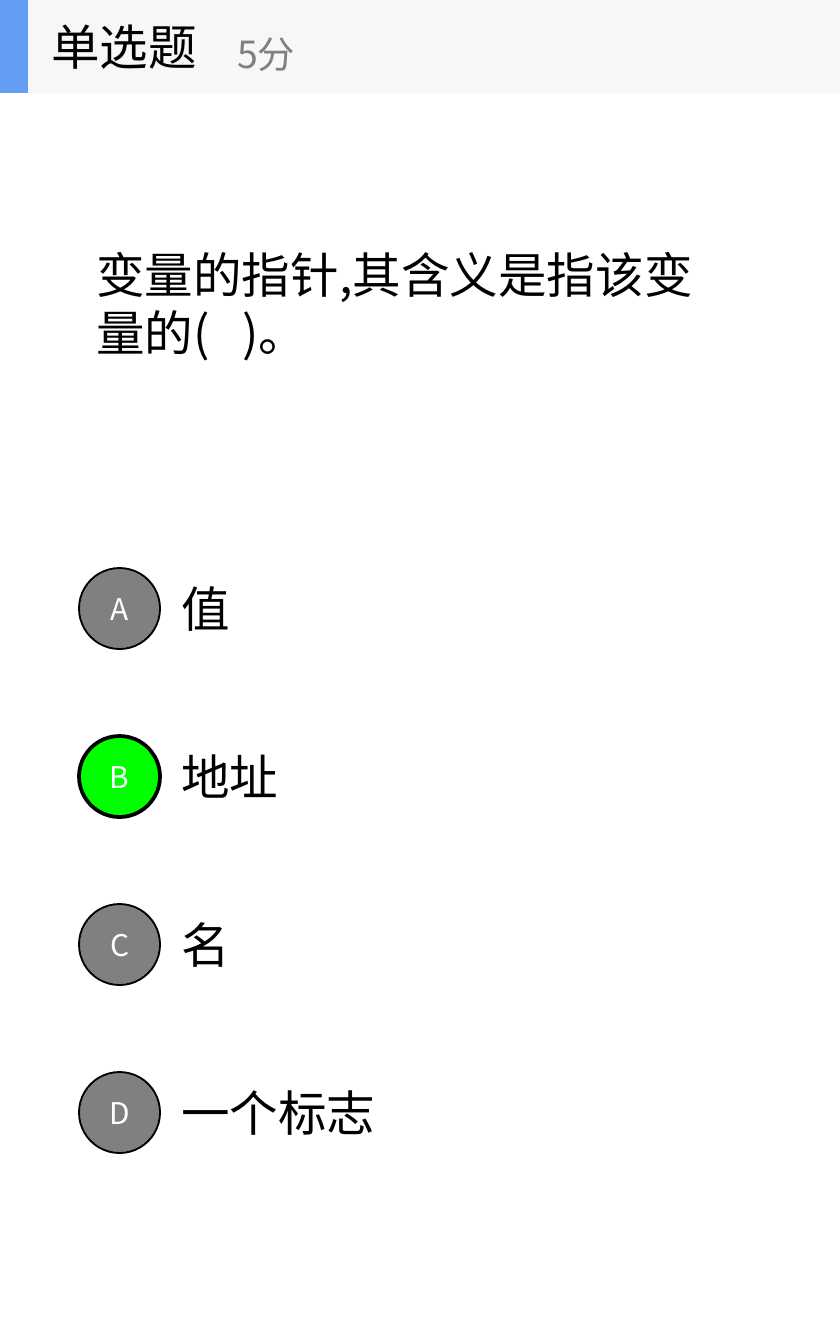
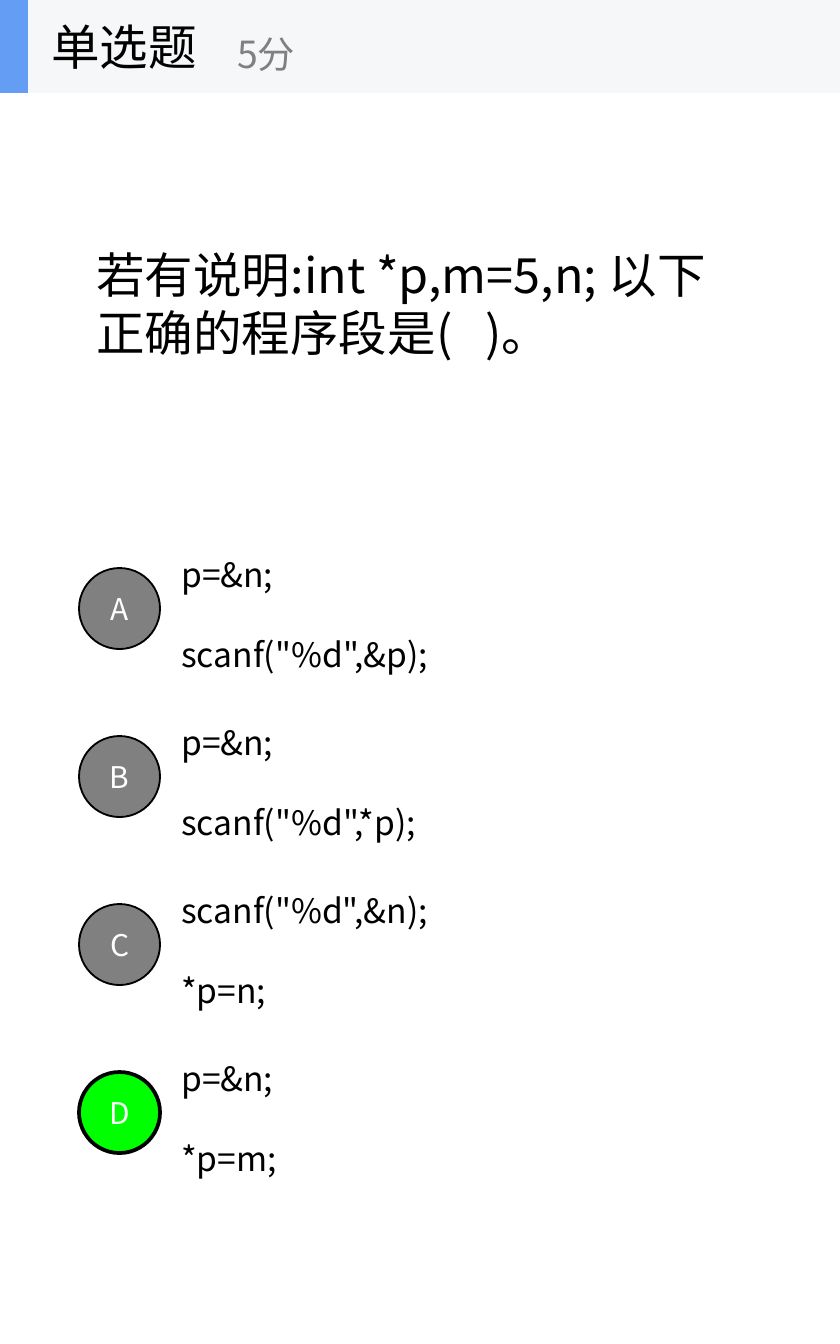
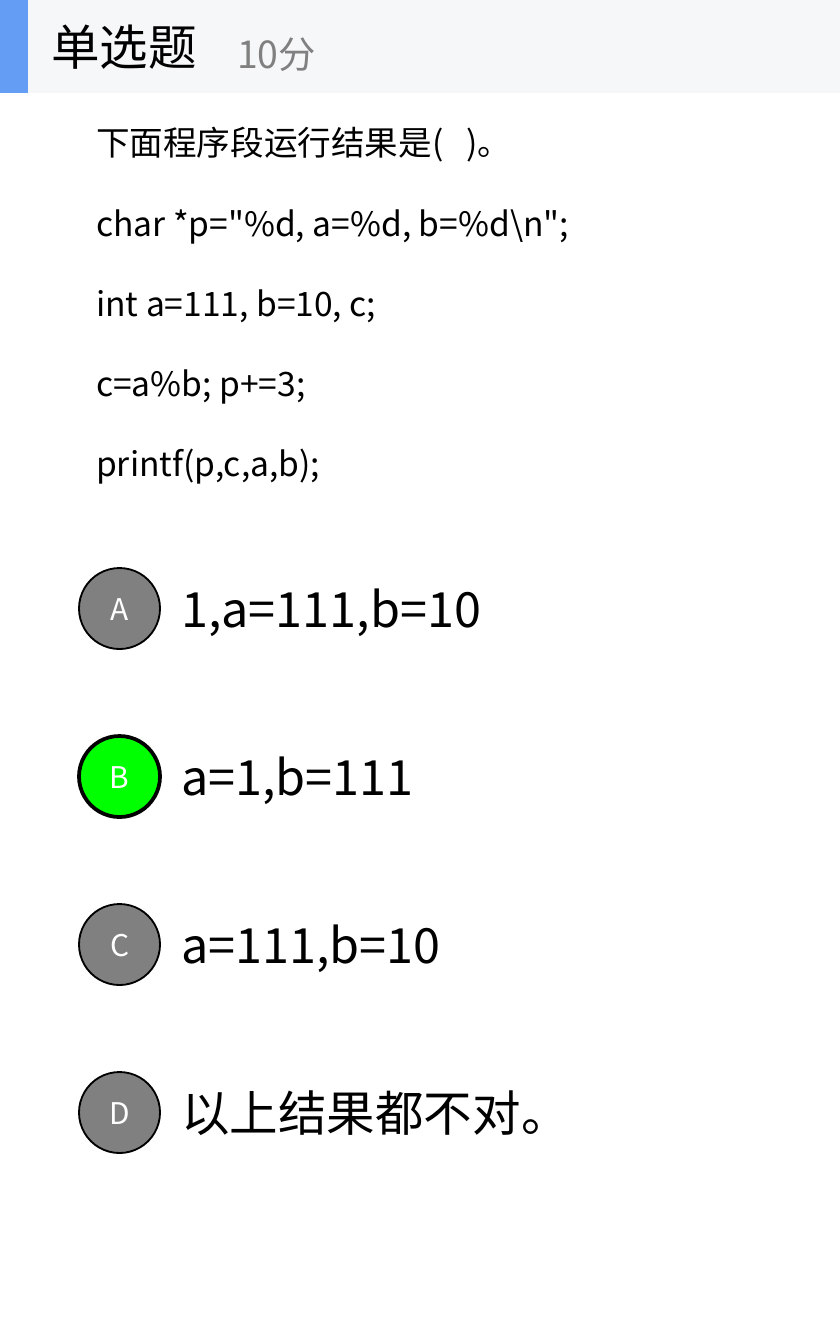
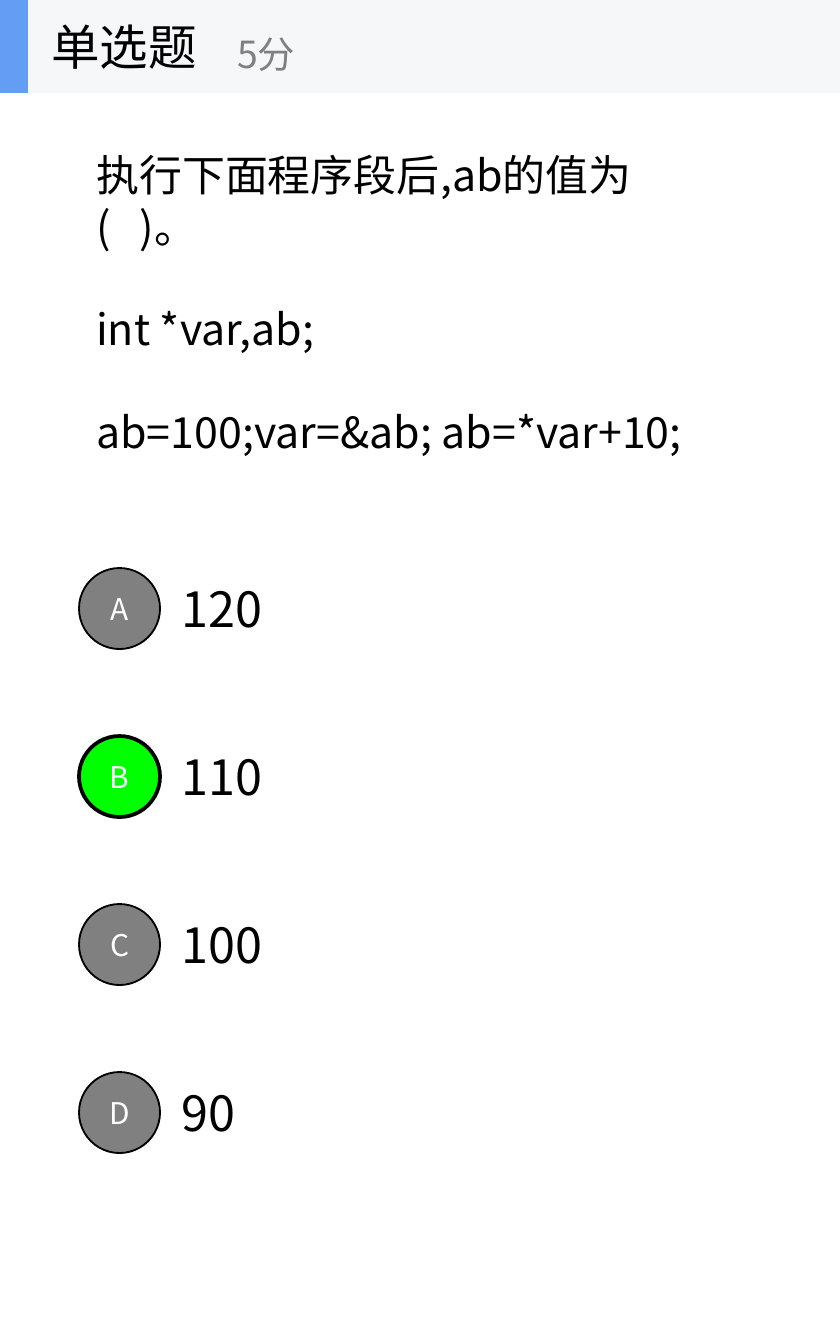
from lxml import etree
from pptx import Presentation
from pptx.dml.color import RGBColor
from pptx.enum import shapes, text
from pptx.oxml import ns
from pptx.util import Emu, Pt

# Content: options are (lines, box width in px)
QUIZZES = [
    dict(score="5分", answer="B", size=26, width=669, height=130,
         question=["变量的指针,其含义是指该变量的(   )。"],
         option_size=26, option_height=71, option_centre=608,
         options=[(["值"], 90), (["地址"], 138), (["名"], 90), (["一个标志"], 235)]),
    dict(score="5分", answer="D", size=26, width=648, height=130,
         question=["若有说明:int *p,m=5,n; 以下正确的程序段是(   )。"],
         option_size=18, option_height=136, option_centre=614,
         options=[(["p=&n;", 'scanf("%d",&p);'], 290),
                  (["p=&n;", 'scanf("%d",*p);'], 277),
                  (['scanf("%d",&n);', "*p=n;"], 300),
                  (["p=&n;", "*p=m;"], 262)]),
    dict(score="10分", answer="B", size=18, width=554, height=380,
         question=["下面程序段运行结果是(   )。",
                   'char *p="%d, a=%d, b=%d\\n";',
                   "int a=111, b=10, c;",
                   "c=a%b; p+=3;",
                   "printf(p,c,a,b);"],
         option_size=26, option_height=71, option_centre=608,
         options=[(["1,a=111,b=10"], 366), (["a=1,b=111"], 297),
                  (["a=111,b=10"], 325), (["以上结果都不对。"], 430)]),
    dict(score="5分", answer="B", size=23, width=630, height=325,
         question=["执行下面程序段后,ab的值为(   )。",
                   "int *var,ab;",
                   "ab=100;var=&ab; ab=*var+10;"],
         option_size=26, option_height=71, option_centre=608,
         options=[(["120"], 126), (["110"], 126), (["100"], 126), (["90"], 98)]),
]
TITLE = "单选题"

# Shared style
COLOURS = dict(text="000000", muted="808080", white="FFFFFF", correct="00FF00",
               band="F6F7F8", accent="639EF4")
FONT = "Noto Sans CJK SC"
PX = 914400 / 134.4
PAGE_WIDTH, PAGE_HEIGHT = 840, 1344
BAND_HEIGHT = 93
QUESTION_LEFT, QUESTION_CENTRE = 83, 303
BADGE_LEFT, BADGE_TOP, BADGE_SIZE = 79, 568, 81
OPTION_LEFT, OPTION_STEP = 168, 168
LINE_GAP = 1.19  # one blank line, relative to the text size


def px(*lengths):
    return [Emu(round(length * PX)) for length in lengths]


def colour(name):
    return RGBColor.from_string(COLOURS[name])


def write(shape, lines, size, ink="text", align=None):
    frame = shape.text_frame
    frame.vertical_anchor = text.MSO_ANCHOR.MIDDLE
    frame.text = "\n".join(lines)
    for number, para in enumerate(frame.paragraphs):
        para.alignment = align
        if number:
            para.space_before = Pt(round(size * LINE_GAP, 1))
        for span in para.runs:
            span.font.size = Pt(size)
            span.font.name = FONT
            span.font.color.rgb = colour(ink)
            properties = span._r.get_or_add_rPr()
            etree.SubElement(properties, ns.qn("a:ea"), typeface=FONT)


def add_text(parent, place, lines, size, ink="text", wrap=True):
    box = parent.shapes.add_textbox(*px(*place))
    box.text_frame.word_wrap = wrap
    box.text_frame.auto_size = (text.MSO_AUTO_SIZE.SHAPE_TO_FIT_TEXT if wrap
                                else text.MSO_AUTO_SIZE.NONE)
    write(box, lines, size, ink)


def add_filled(parent, kind, place, fill, line_width=0):
    shape = parent.shapes.add_shape(kind, *px(*place))
    shape.shadow.inherit = False
    shape.fill.solid()
    shape.fill.fore_color.rgb = colour(fill)
    if line_width:
        shape.line.color.rgb = colour("text")
        shape.line.width = Pt(line_width)
    else:
        shape.line.fill.background()
    return shape


def add_header(page, score):
    header = page.shapes.add_group_shape()
    for width, fill in ((PAGE_WIDTH, "band"), (28, "accent")):
        add_filled(header, shapes.MSO_SHAPE.RECTANGLE, (0, 0, width, BAND_HEIGHT), fill)
    add_text(header, (38, 0, 280, BAND_HEIGHT), [TITLE], 26, wrap=False)
    add_text(header, (224, 16, 336, 75), [score], 20, "muted", wrap=False)


def add_options(page, quiz):
    height = quiz["option_height"]
    first_top = quiz["option_centre"] - height / 2
    for row, (letter, (lines, width)) in enumerate(zip("ABCD", quiz["options"])):
        drop = row * OPTION_STEP
        add_text(page, (OPTION_LEFT, first_top + drop, width, height),
                 lines, quiz["option_size"])
        correct = letter == quiz["answer"]
        badge = add_filled(page, shapes.MSO_SHAPE.OVAL,
                           (BADGE_LEFT, BADGE_TOP + drop, BADGE_SIZE, BADGE_SIZE),
                           "correct" if correct else "muted", 2 if correct else 1)
        write(badge, [letter], 16, "white", text.PP_ALIGN.CENTER)


def main():
    deck = Presentation()
    deck.slide_width, deck.slide_height = px(PAGE_WIDTH, PAGE_HEIGHT)
    for quiz in QUIZZES:
        page = deck.slides.add_slide(deck.slide_layouts[6])
        top = QUESTION_CENTRE - quiz["height"] / 2
        add_text(page, (QUESTION_LEFT, top, quiz["width"], quiz["height"]),
                 quiz["question"], quiz["size"])
        add_options(page, quiz)
        add_header(page, quiz["score"])
    deck.save("out.pptx")


if __name__ == "__main__":
    main()
